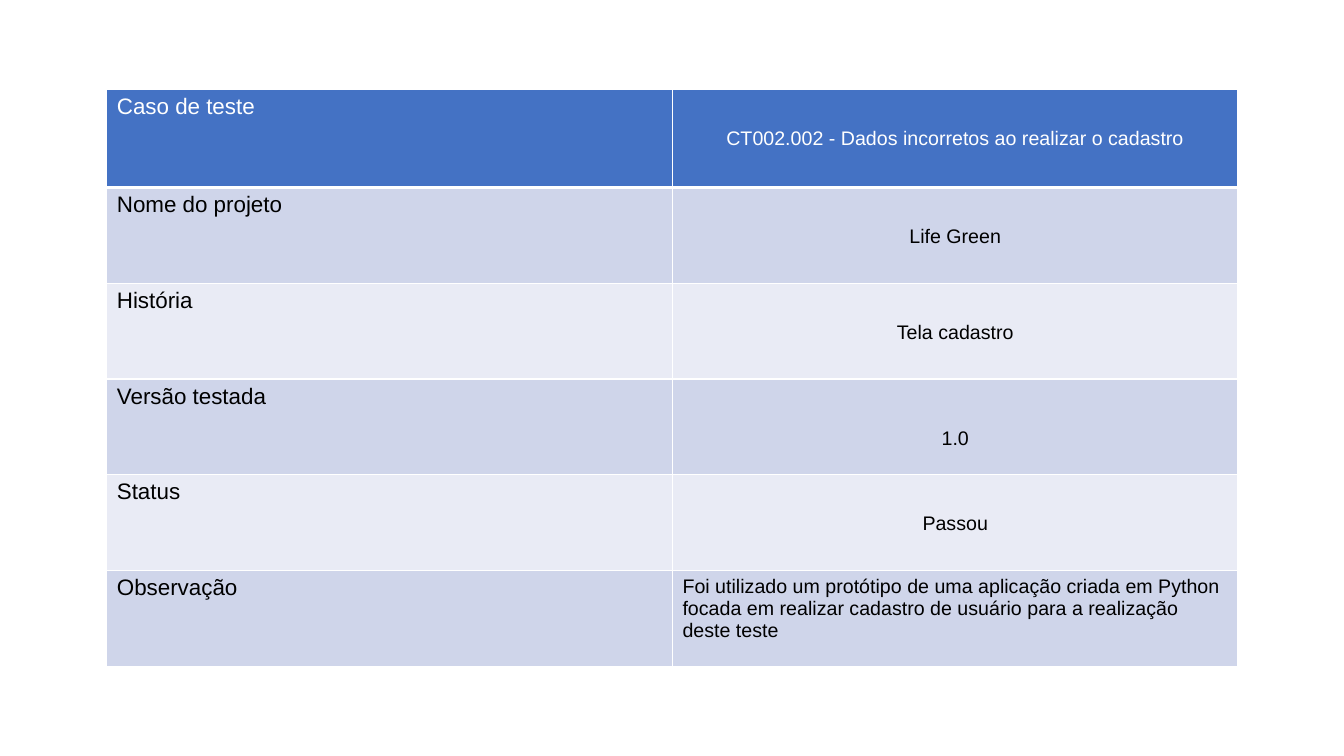
from lxml.etree import SubElement
from pptx import Presentation
from pptx.dml.color import RGBColor
from pptx.enum.text import PP_ALIGN as Align
from pptx.oxml.ns import qn
from pptx.util import Inches, Pt

WHITE, BLACK = "FFFFFF", "000000"
HEADER_FILL, BAND_FILLS = "4472C4", ("E9EBF5", "CFD5EA")
HEADER_RULE, THIN_RULE = 3, 1

# Label, value, line spacing of the value (None: left-aligned running text)
TEST_CASE = [
    ("Caso de teste", "CT002.002 - Dados incorretos ao realizar o cadastro", 2.5),
    ("Nome do projeto", "Life Green", 2.5),
    ("História", "Tela cadastro", 2.5),
    ("Versão testada", "1.0", 3.0),
    ("Status", "Passou", 2.5),
    ("Observação", "Foi utilizado um protótipo de uma aplicação criada em Python "
     "focada em realizar cadastro de usuário para a realização deste teste", None),
]


def rgb(color):
    return RGBColor.from_string(color)


def set_borders(cell, top, bottom):
    """Draw white rules around a cell; top and bottom widths are in points."""
    properties = cell._tc.get_or_add_tcPr()
    for side, width in (("L", THIN_RULE), ("R", THIN_RULE), ("T", top), ("B", bottom)):
        rule = SubElement(properties, qn(f"a:ln{side}"), w=str(Pt(width)))
        SubElement(SubElement(rule, qn("a:solidFill")), qn("a:srgbClr"), val=WHITE)


def fill_cell(cell, fill):
    cell.fill.solid()
    cell.fill.fore_color.rgb = rgb(fill)


def write_cell(cell, text, size, color, spacing=None):
    paragraph = cell.text_frame.paragraphs[0]
    paragraph.text = text
    if spacing:
        paragraph.alignment = Align.CENTER
        paragraph.line_spacing = spacing
    font = paragraph.runs[0].font
    font.name, font.size, font.bold = "Arial", Pt(size), False
    font.color.rgb = rgb(color)


def add_test_case_table(slide):
    table = slide.shapes.add_table(
        len(TEST_CASE), 2, Inches(1.06), Inches(0.89), Inches(11.22), Inches(5.72)
    ).table
    for row_number, (label, value, spacing) in enumerate(TEST_CASE):
        is_header = row_number == 0
        table.rows[row_number].height = Inches(0.97 if is_header else 0.95)
        fill = HEADER_FILL if is_header else BAND_FILLS[row_number % 2]
        color = WHITE if is_header else BLACK
        top = HEADER_RULE if row_number == 1 else THIN_RULE
        bottom = HEADER_RULE if is_header else THIN_RULE
        label_cell, value_cell = table.rows[row_number].cells
        for cell in (label_cell, value_cell):
            set_borders(cell, top, bottom)
            fill_cell(cell, fill)
        write_cell(label_cell, label, 16, color)
        write_cell(value_cell, value, 14, color, spacing)


def main():
    presentation = Presentation()
    presentation.slide_width = Inches(13.33)
    presentation.slide_height = Inches(7.5)
    blank_layout = presentation.slide_layouts[6]
    add_test_case_table(presentation.slides.add_slide(blank_layout))
    presentation.save("out.pptx")


if __name__ == "__main__":
    main()
